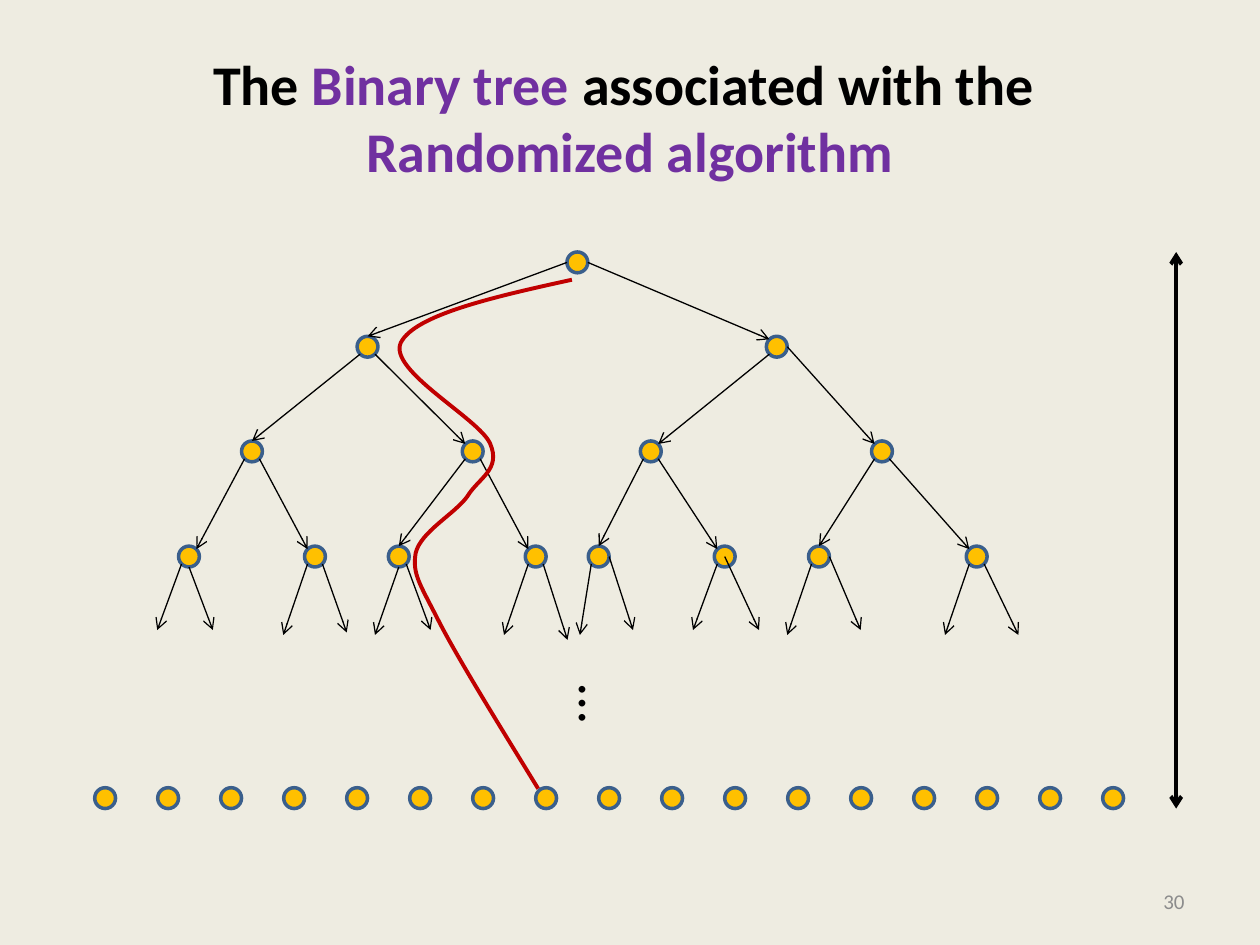
import lxml.etree
import pptx
import pptx.dml.color
import pptx.enum.shapes
import pptx.enum.text
import pptx.oxml.ns
import pptx.util

Cm = pptx.util.Cm
Pt = pptx.util.Pt
ALIGN = pptx.enum.text.PP_ALIGN
qn = pptx.oxml.ns.qn

BLACK, PURPLE, GREY, RED = "000000", "7030A0", "8C8C8C", "C00000"
RADIUS = 0.21

# Centres in heap order: the children of node i are 2i + 1 and 2i + 2.
LEVELS = [
    (5.29, [11.64]),
    (6.99, [7.41, 15.66]),
    (9.1, [5.08, 9.53, 13.12, 17.78]),
    (11.22, [3.81, 6.35, 8.04, 10.8, 12.07, 14.61, 16.51, 19.69]),
]
LEAF_Y, LEAF_START, LEAF_STEP, LEAF_COUNT = 16.09, 2.12, 1.27, 17

# Where an edge meets a circle, as multiples of the radius.
SITES = {
    "centre": (0, 0), "top": (0, -1), "bottom": (0, 1), "left": (-1, 0), "right": (1, 0),
    "top left": (-0.71, -0.71), "top right": (0.71, -0.71),
    "bottom left": (-0.71, 0.71), "bottom right": (0.71, 0.71),
}
# Sites that differ from bottom left / bottom right at the parent, keyed by child.
START_SITES = {1: "left", 2: "right", 6: "right"}
# Sites of left children that differ from top; right children use top left.
END_SITES = {5: "top right", 7: "top right"}

# For each node of the last full level: start site and tip offset of both twigs.
TWIGS = [
    ("bottom left", (-0.64, 1.48), "bottom", (0.48, 1.48)),
    ("bottom left", (-0.64, 1.58), "bottom right", (0.64, 1.53)),
    ("bottom", (-0.48, 1.58), "bottom right", (0.64, 1.48)),
    ("bottom left", (-0.64, 1.58), "bottom right", (0.64, 1.68)),
    ("bottom left", (-0.38, 1.58), "right", (0.69, 1.48)),
    ("bottom left", (-0.64, 1.48), "centre", (0.69, 1.48)),
    ("bottom left", (-0.64, 1.58), "right", (0.84, 1.48)),
    ("bottom left", (-0.64, 1.58), "bottom right", (0.84, 1.58)),
]

# Search path: start point, then (control, control, end) for each curve.
PATH_START = (11.53, 5.64)
PATH_CURVES = [
    ((9.93, 5.99), (8.36, 6.35), (8.08, 6.91)),
    ((7.82, 7.47), (9.65, 8.43), (9.88, 8.94)),
    ((10.11, 9.47), (9.65, 9.63), (9.42, 10.01)),
    ((9.17, 10.36), (8.48, 10.72), (8.38, 11.15)),
    ((8.31, 11.58), (8.46, 11.76), (8.86, 12.55)),
    ((9.27, 13.34), (10.06, 14.61), (10.85, 15.9)),
]


def color(hex_string):
    return pptx.dml.color.RGBColor.from_string(hex_string)


def add_text(slide, box, runs, size, align, bold=False):
    """Add a one-paragraph text box; runs are (text, colour), None is a line break."""
    shape = slide.shapes.add_textbox(*map(Cm, box))
    frame = shape.text_frame
    frame.word_wrap = True
    frame.vertical_anchor = pptx.enum.text.MSO_ANCHOR.MIDDLE
    paragraph = frame.paragraphs[0]
    paragraph.alignment = align
    paragraph.font.name = "Calibri"
    paragraph.font.size = Pt(size)
    paragraph.font.bold = bold
    for item in runs:
        if item is None:
            paragraph.add_line_break()
            continue
        run = paragraph.add_run()
        run.text = item[0]
        run.font.color.rgb = color(item[1])
    return shape


def add_node(slide, x, y):
    shape = slide.shapes.add_shape(
        pptx.enum.shapes.MSO_SHAPE.OVAL,
        Cm(x - RADIUS), Cm(y - RADIUS), Cm(2 * RADIUS), Cm(2 * RADIUS))
    shape.shadow.inherit = False
    shape.fill.solid()
    shape.fill.fore_color.rgb = color("FFC000")
    shape.line.color.rgb = color("3A5F8C")
    shape.line.width = Pt(2)


def add_arrow(slide, start, end, width=0.75, both_ends=False):
    connector = slide.shapes.add_connector(
        pptx.enum.shapes.MSO_CONNECTOR.STRAIGHT, *map(Cm, start + end))
    connector.line.color.rgb = color(BLACK)
    connector.line.width = Pt(width)
    line = connector.line._get_or_add_ln()
    for tag in ("a:headEnd", "a:tailEnd") if both_ends else ("a:tailEnd",):
        lxml.etree.SubElement(line, qn(tag), type="arrow")
    lxml.etree.SubElement(connector._element.spPr, qn("a:effectLst"))


def add_curve(slide, start, curves, hex_string, width):
    """Draw an open freeform and turn its straight segments into cubic curves."""
    builder = slide.shapes.build_freeform(*map(Cm, start))
    builder.add_line_segments([tuple(map(Cm, curve[-1])) for curve in curves], close=False)
    shape = builder.convert_to_shape()
    shape.shadow.inherit = False
    shape.fill.background()
    shape.line.color.rgb = color(hex_string)
    shape.line.width = Pt(width)
    segments = list(shape._element.iter(qn("a:lnTo")))
    for segment, curve in zip(segments, curves):
        cubic = lxml.etree.Element(qn("a:cubicBezTo"))
        for x, y in curve:
            lxml.etree.SubElement(cubic, qn("a:pt"),
                                  x=str(Cm(x) - shape.left), y=str(Cm(y) - shape.top))
        segment.getparent().replace(segment, cubic)


def site_point(node, site):
    dx, dy = SITES[site]
    return node[0] + dx * RADIUS, node[1] + dy * RADIUS


def add_tree(slide):
    nodes = [(x, y) for y, row in LEVELS for x in row]
    leaves = [(LEAF_START + i * LEAF_STEP, LEAF_Y) for i in range(LEAF_COUNT)]
    for x, y in nodes + leaves:
        add_node(slide, x, y)
    for child in range(1, len(nodes)):
        is_left = child % 2 == 1
        start = START_SITES.get(child, "bottom left" if is_left else "bottom right")
        end = END_SITES.get(child, "top" if is_left else "top left")
        add_arrow(slide, site_point(nodes[(child - 1) // 2], start),
                  site_point(nodes[child], end))
    for node, twigs in zip(nodes[-len(TWIGS):], TWIGS):
        for site, (dx, dy) in (twigs[:2], twigs[2:]):
            add_arrow(slide, site_point(node, site), (node[0] + dx, node[1] + dy))


def add_vertical_dots(slide):
    shape = add_text(slide, (11.46, 13.39, 1.3, 1.63), [("…", BLACK)], 32, ALIGN.LEFT)
    shape.rotation = 90
    shape.text_frame.word_wrap = False
    shape.text_frame.vertical_anchor = pptx.enum.text.MSO_ANCHOR.TOP
    shape.text_frame.auto_size = pptx.enum.text.MSO_AUTO_SIZE.SHAPE_TO_FIT_TEXT


def main():
    presentation = pptx.Presentation()
    presentation.slide_width = Cm(25.4)
    presentation.slide_height = Cm(19.05)
    slide = presentation.slides.add_slide(presentation.slide_layouts[6])
    slide.background.fill.solid()
    slide.background.fill.fore_color.rgb = color("EEECE1")

    title = [("The ", BLACK), ("Binary tree ", PURPLE), ("associated with the ", BLACK),
             None, ("Randomized algorithm", PURPLE)]
    add_text(slide, (1.27, 0.76, 22.86, 3.18), title, 32, ALIGN.CENTER, bold=True)
    add_text(slide, (18.2, 17.66, 5.93, 1.01), [("30", GREY)], 12, ALIGN.RIGHT)
    add_tree(slide)
    add_vertical_dots(slide)
    add_arrow(slide, (23.71, 5.08), (23.71, 16.3), width=2.25, both_ends=True)
    add_curve(slide, PATH_START, PATH_CURVES, RED, 2.25)
    presentation.save("out.pptx")


if __name__ == "__main__":
    main()
